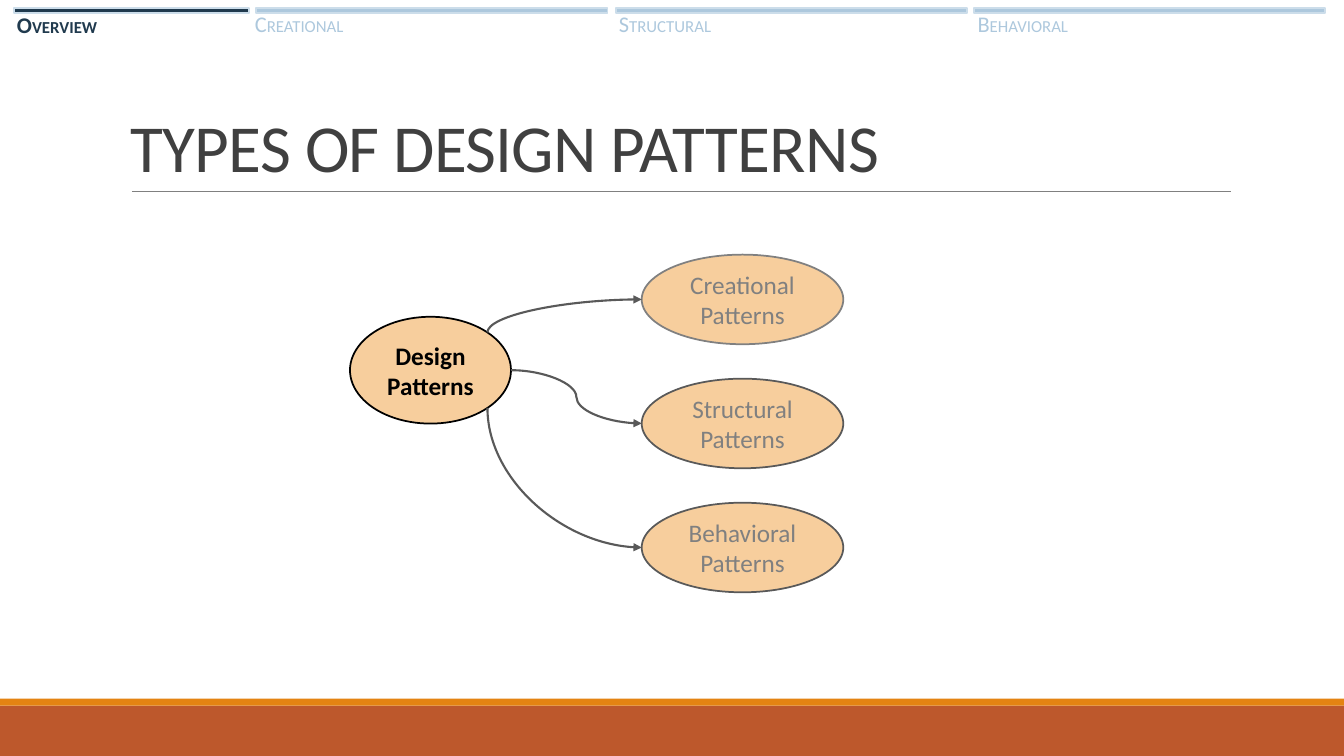
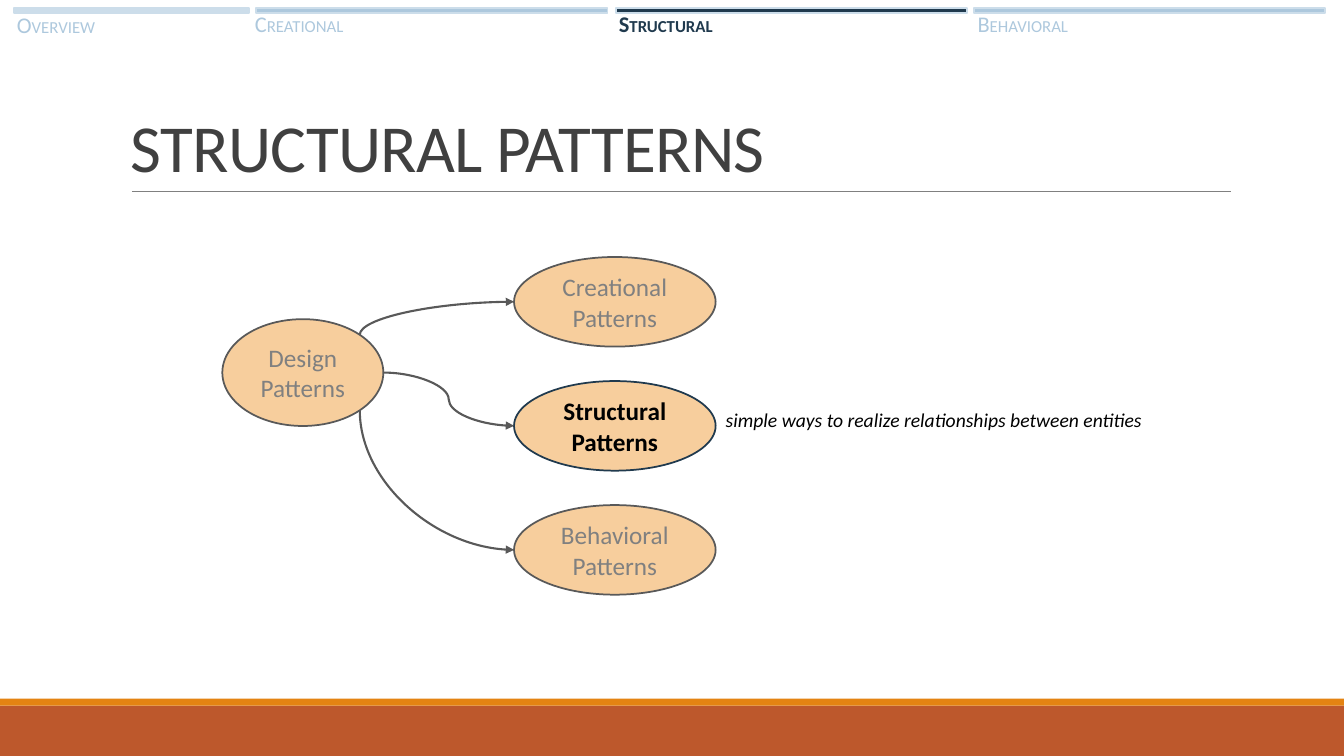
from math import sqrt

from lxml.etree import SubElement
from pptx import Presentation
from pptx.dml.color import RGBColor
from pptx.enum.shapes import MSO_CONNECTOR as Connector, MSO_SHAPE as Preset
from pptx.enum.text import MSO_ANCHOR as Anchor, MSO_AUTO_SIZE as AutoSize, PP_ALIGN as Align
from pptx.oxml.ns import qn
from pptx.util import Pt

# Shared look
FONT = "Calibri"
BLACK, GRAY, DARK_GRAY, TITLE_GRAY = "000000", "808080", "595959", "404040"
NAVY, TAB_BLUE, PALE_BLUE = "203A4E", "ADC8DD", "CCDDEA"
PEACH, ORANGE, RUST = "F7CE9D", "E48312", "BD582C"
SLIDE_WIDTH, SLIDE_HEIGHT = 960, 540

# Navigation tabs: name, bar left, bar width, idle bar, label left, top, width
TABS = [
    ("OVERVIEW", 10, 168, PALE_BLUE, 5, 4.3, 72.7),
    ("CREATIONAL", 183, 251, TAB_BLUE, 175, 3.6, 79),
    ("STRUCTURAL", 440, 251, TAB_BLUE, 435, 3.6, 82),
    ("BEHAVIORAL", 695.5, 251, TAB_BLUE, 691.2, 3.6, 80),
]

# Pattern tree, measured from the top left of its root
ROOT = "Design Patterns"
BRANCHES = ["Creational Patterns", "Structural Patterns", "Behavioral Patterns"]
ROOT_WIDTH, ROOT_HEIGHT = 115, 76.3
BRANCH_WIDTH, BRANCH_HEIGHT = 144, 64
BRANCH_DX, BRANCH_DY, BRANCH_STEP = 208.4, -44.4, 88.6


def color(hex_string):
    return RGBColor.from_string(hex_string)


def add_run(paragraph, text, size, hex_color, bold=False, italic=False):
    run = paragraph.add_run()
    run.text = text
    font = run.font
    font.name, font.size = FONT, Pt(size)
    font.bold, font.italic = bold, italic
    font.color.rgb = color(hex_color)
    return run


def add_box(slide, preset, left, top, width, height, fill, outline=None):
    shape = slide.shapes.add_shape(preset, Pt(left), Pt(top), Pt(width), Pt(height))
    shape.shadow.inherit = False
    shape.fill.solid()
    shape.fill.fore_color.rgb = color(fill)
    if outline:
        shape.line.color.rgb = color(outline)
        shape.line.width = Pt(1.25)
    else:
        shape.line.fill.background()
    return shape


def add_text_box(slide, left, top, width, height):
    box = slide.shapes.add_textbox(Pt(left), Pt(top), Pt(width), Pt(height))
    return box.text_frame


def add_label(slide, left, top, width, height):
    """Add a one-line text box and return its paragraph."""
    frame = add_text_box(slide, left, top, width, height)
    frame.word_wrap = False
    frame.auto_size = AutoSize.SHAPE_TO_FIT_TEXT
    return frame.paragraphs[0]


def add_line(slide, kind, start, end, hex_color, width):
    line = slide.shapes.add_connector(kind, *(Pt(value) for value in (*start, *end)))
    line.line.color.rgb = color(hex_color)
    line.line.width = Pt(width)
    SubElement(line.element.spPr, qn("a:effectLst"))
    return line


def add_curved_arrow(slide, start, end):
    arrow = add_line(slide, Connector.CURVE, start, end, DARK_GRAY, 1.5)
    outline = arrow.element.spPr.find(qn("a:ln"))
    SubElement(outline, qn("a:tailEnd"), type="triangle")
    return arrow


def add_quarter_arrow(slide, start, end):
    """Add an arrow that leaves vertically and arrives horizontally."""
    arrow = add_curved_arrow(slide, start, end)
    properties = arrow.element.spPr
    properties.find(qn("a:prstGeom")).set("prst", "curvedConnector2")
    (x1, y1), (x2, y2) = start, end
    width, height = abs(y2 - y1), x2 - x1
    arrow.left, arrow.top = Pt((x1 + x2 - width) / 2), Pt((y1 + y2 - height) / 2)
    arrow.width, arrow.height = Pt(width), Pt(height)
    rising = y2 < y1
    frame = properties.find(qn("a:xfrm"))
    frame.set("rot", str((90 if rising else 270) * 60000))
    frame.set("flipH", "1")
    frame.set("flipV", "1" if rising else "0")


def add_frame(slide, title):
    # Footer bands
    add_box(slide, Preset.RECTANGLE, 0, 504, SLIDE_WIDTH, 36, RUST)
    add_box(slide, Preset.RECTANGLE, 0, 499, SLIDE_WIDTH, 5, ORANGE)
    # Title and its rule
    add_line(slide, Connector.STRAIGHT, (94.3, 136.7), (879, 136.7), GRAY, 0.5)
    frame = add_text_box(slide, 86.4, 22.5, 792, 114.2)
    frame.word_wrap = True
    frame.vertical_anchor = Anchor.BOTTOM
    paragraph = frame.paragraphs[0]
    paragraph.line_spacing = 0.85
    run = add_run(paragraph, title, 48, TITLE_GRAY)
    run.font._element.set("spc", "-50")


def add_tabs(slide, active):
    for name, left, width, idle, *_ in TABS:
        fill = NAVY if name == active else idle
        add_box(slide, Preset.RECTANGLE, left, 5.8, width, 3.6, fill, PALE_BLUE)
    for name, _, _, _, left, top, width in TABS:
        paragraph = add_label(slide, left, top, width, 26.6)
        is_active = name == active
        text_color = NAVY if is_active else TAB_BLUE
        add_run(paragraph, name[0], 16, text_color, bold=is_active)
        add_run(paragraph, name[1:], 12, text_color, bold=is_active)


def add_node(slide, text, left, top, width, height, active, outlines):
    is_active = text == active
    outline = outlines.get(text, DARK_GRAY)
    node = add_box(slide, Preset.OVAL, left, top, width, height, PEACH, outline)
    frame = node.text_frame
    frame.word_wrap = True
    frame.vertical_anchor = Anchor.MIDDLE
    paragraph = frame.paragraphs[0]
    paragraph.alignment = Align.CENTER
    add_run(paragraph, text, 18, BLACK if is_active else GRAY, bold=is_active)


def add_pattern_tree(slide, left, top, active, outlines):
    # Nodes
    add_node(slide, ROOT, left, top, ROOT_WIDTH, ROOT_HEIGHT, active, outlines)
    branch_left = left + BRANCH_DX
    branch_tops = [top + BRANCH_DY + row * BRANCH_STEP for row in range(len(BRANCHES))]
    for text, branch_top in zip(BRANCHES, branch_tops):
        add_node(slide, text, branch_left, branch_top, BRANCH_WIDTH, BRANCH_HEIGHT,
                 active, outlines)

    # Arrows from the right side and the two right diagonals of the root
    center_x, center_y = left + ROOT_WIDTH / 2, top + ROOT_HEIGHT / 2
    diagonal_x = center_x + ROOT_WIDTH / 2 * sqrt(0.5)
    diagonal_dy = ROOT_HEIGHT / 2 * sqrt(0.5)
    upper, middle, lower = [(branch_left, y + BRANCH_HEIGHT / 2) for y in branch_tops]
    add_quarter_arrow(slide, (diagonal_x, center_y - diagonal_dy), upper)
    add_quarter_arrow(slide, (diagonal_x, center_y + diagonal_dy), lower)
    add_curved_arrow(slide, (left + ROOT_WIDTH, center_y), middle)


def add_pattern_slide(presentation, title, tab, origin, active, outlines):
    slide = presentation.slides.add_slide(presentation.slide_layouts[6])
    add_frame(slide, title)
    add_pattern_tree(slide, *origin, active, outlines)
    add_tabs(slide, tab)
    return slide


def main():
    presentation = Presentation()
    presentation.slide_width, presentation.slide_height = Pt(SLIDE_WIDTH), Pt(SLIDE_HEIGHT)

    # Overview
    add_pattern_slide(presentation, "TYPES OF DESIGN PATTERNS", "OVERVIEW", (250, 226.3),
                      ROOT, {ROOT: BLACK, "Creational Patterns": GRAY})

    # Structural patterns, with a definition beside the active node
    slide = add_pattern_slide(presentation, "STRUCTURAL PATTERNS", "STRUCTURAL", (158.8, 228),
                              "Structural Patterns", {"Structural Patterns": NAVY})
    definition = add_label(slide, 511.3, 288, 314.6, 24.2)
    add_run(definition, "simple ways to realize relationships between entities", 14, BLACK,
            italic=True)

    presentation.save("out.pptx")


if __name__ == "__main__":
    main()
